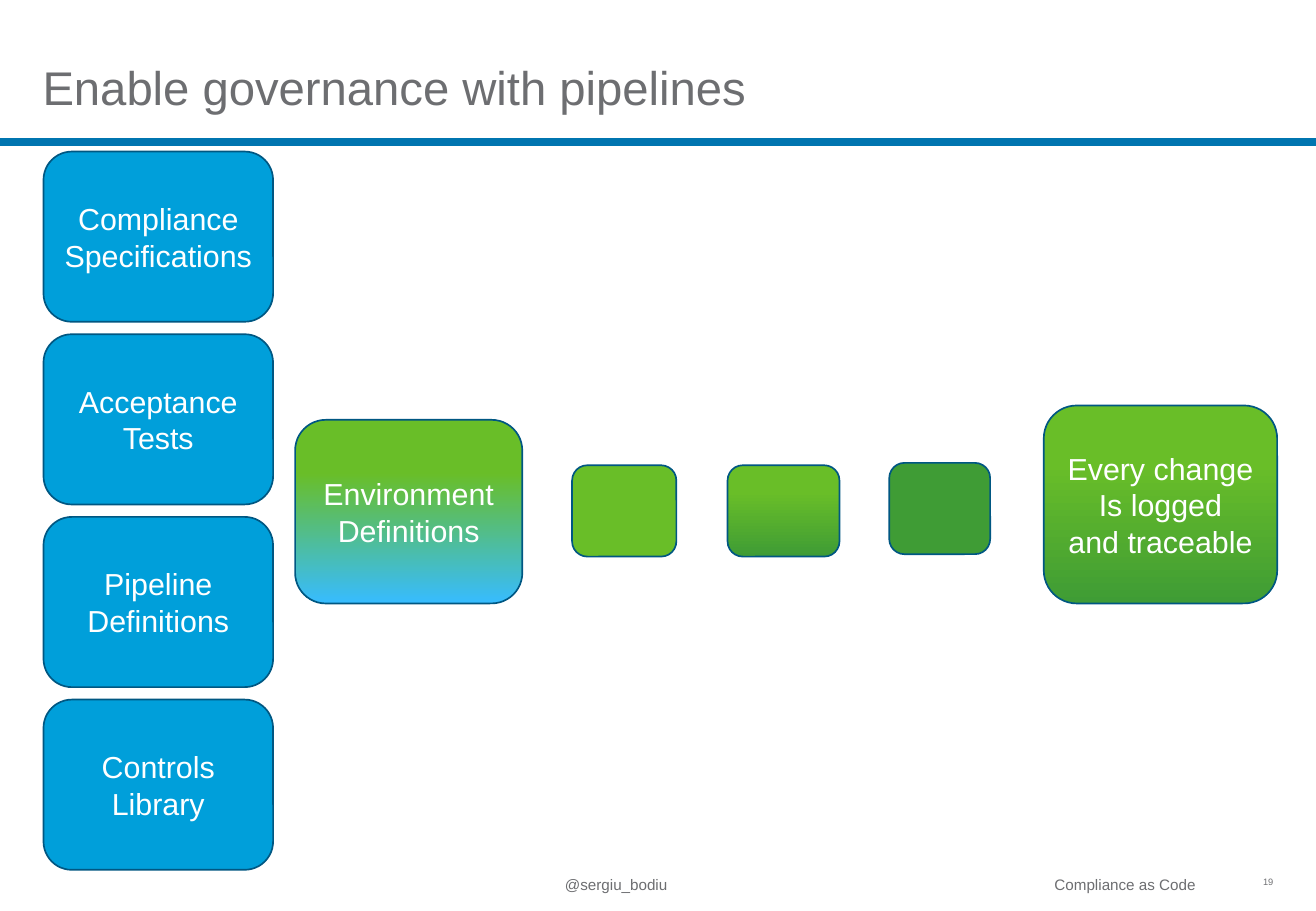
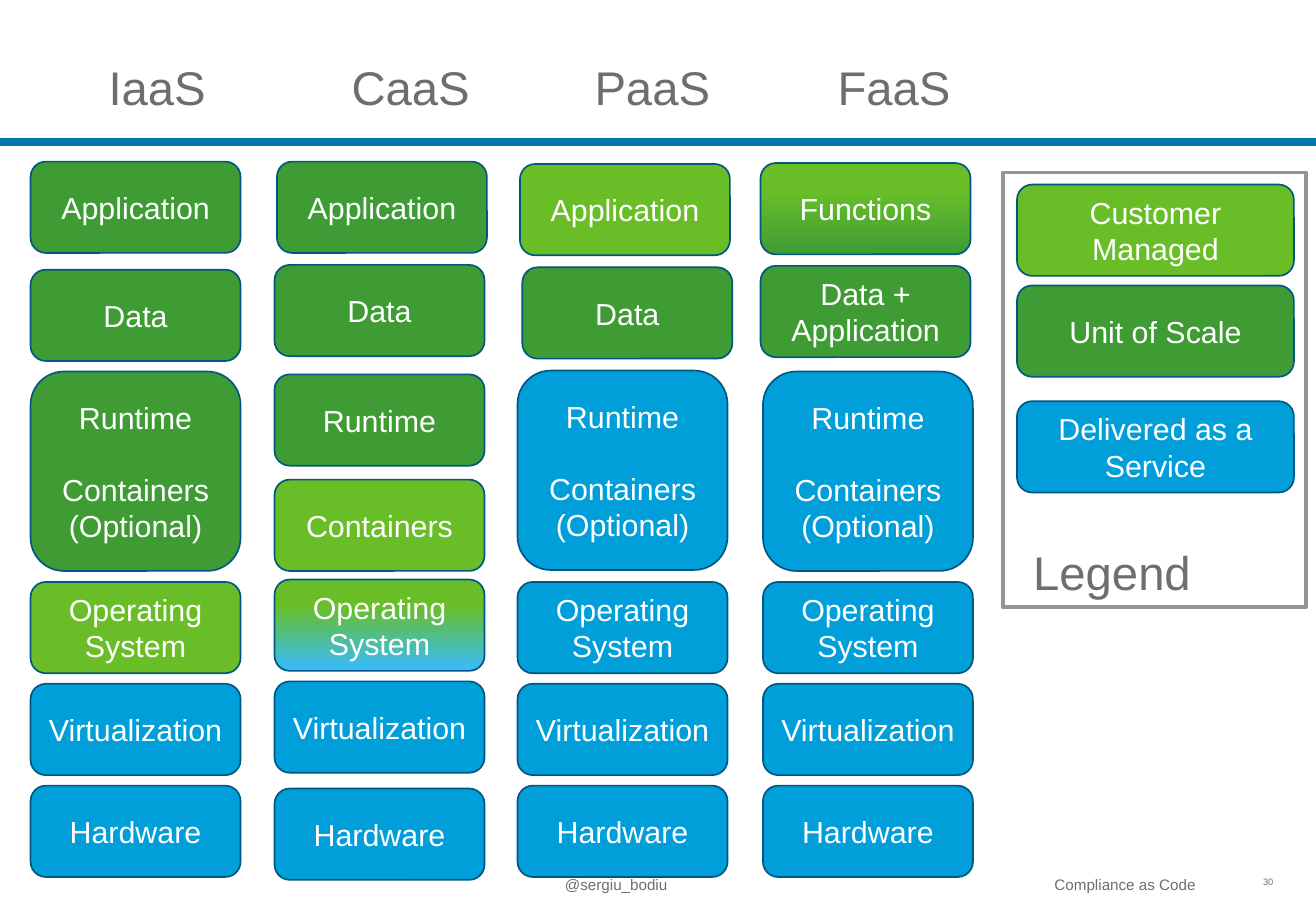
import pptx
import pptx.util
from lxml import etree
from pptx.dml.color import RGBColor
from pptx.enum.shapes import MSO_CONNECTOR, MSO_SHAPE
from pptx.enum.text import MSO_ANCHOR, PP_ALIGN
from pptx.oxml.ns import qn
from pptx.util import Cm, Pt

GREY = RGBColor(0x6D, 0x6E, 0x71)
FRAME_GREY = RGBColor(0x93, 0x95, 0x98)
RULE_BLUE = RGBColor(0x00, 0x75, 0xB0)
OUTLINE = RGBColor(0x00, 0x57, 0x82)
WHITE = RGBColor(0xFF, 0xFF, 0xFF)
BLUE = RGBColor(0x00, 0x9F, 0xDA)
SKY = RGBColor(0x37, 0xBC, 0xFF)
LIME = RGBColor(0x69, 0xBE, 0x28)
GREEN = RGBColor(0x3F, 0x9C, 0x35)
LIME_TO_SKY = (LIME, SKY)
LIME_TO_GREEN = (LIME, GREEN)

WIDTH, HEIGHT = 27.51, 19.05
BLOCK_WIDTH, BLOCK_HEIGHT, RUNTIME_HEIGHT = 4.39, 1.91, 4.17
TITLE_BOX = (0.89, 0.46, 25.73, 1.96)
HEADING_STEP = 5.08

BLOCK_FONT = {"name": "Arial", "size": Pt(18), "color": WHITE}
TITLE_FONT = {"name": "Arial", "size": Pt(28), "color": GREY}
FOOTER_FONT = {"name": "Arial", "size": Pt(9), "color": GREY}
NUMBER_FONT = {**FOOTER_FONT, "size": Pt(5.5)}
TITLE_PARAGRAPH = {"line_spacing": 0.9}
NO_MARGINS = {"margin_left": 0, "margin_top": 0, "margin_right": 0, "margin_bottom": 0}

RUNTIME_LABEL = "Runtime\nContainers (Optional)"
LOWER_BLUE = [
    ("Operating System", BLUE, 0, 8.79),
    ("Virtualization", BLUE, 0, 10.92),
    ("Hardware", BLUE, 0, 13.05),
]
# Each column: heading, left, blocks of (label, fill, shift right, top in the column)
STACKS = [
    ("IaaS", 0.64, [
        ("Application", GREEN, 0, 0),
        ("Data", GREEN, 0, 2.26),
        (RUNTIME_LABEL, GREEN, 0, 4.39),
        ("Operating System", LIME, 0, 8.79),
        *LOWER_BLUE[1:],
    ]),
    ("CaaS", 5.74, [
        ("Application", GREEN, 0.05, 0),
        ("Data", GREEN, 0, 2.16),
        ("Runtime", GREEN, 0, 4.45),
        ("Containers", LIME, 0, 6.65),
        ("Operating System", LIME_TO_SKY, 0, 8.74),
        ("Virtualization", BLUE, 0, 10.87),
        ("Hardware", BLUE, 0, 13.11),
    ]),
    ("PaaS", 10.82, [
        ("Application", LIME, 0.05, 0.05),
        ("Data", GREEN, 0.1, 2.21),
        (RUNTIME_LABEL, BLUE, 0, 4.37),
        *LOWER_BLUE,
    ]),
    ("FaaS", 15.95, [
        ("Functions", LIME_TO_GREEN, -0.05, 0.03),
        ("Data + Application", GREEN, -0.05, 2.18),
        (RUNTIME_LABEL, BLUE, 0, 4.39),
        *LOWER_BLUE,
    ]),
]


def set_attributes(target, values):
    for name, value in values.items():
        setattr(target, name, value)


def write(shape, text, font, paragraph_format, space_before=0):
    """Fill a shape with one paragraph per line of text."""
    frame = shape.text_frame
    frame.text = text
    for index, paragraph in enumerate(frame.paragraphs):
        set_attributes(paragraph, paragraph_format)
        if index and space_before:
            paragraph.space_before = Pt(space_before)
        for run in paragraph.runs:
            set_attributes(run.font, {"name": font["name"], "size": font["size"]})
            run.font.color.rgb = font["color"]


def add_label(shapes, box, text, font, anchor, paragraph_format):
    label = shapes.add_textbox(*map(Cm, box))
    set_attributes(label.text_frame,
                   {**NO_MARGINS, "word_wrap": True, "vertical_anchor": anchor})
    write(label, text, font, paragraph_format)
    return label


def add_title(shapes, box, text):
    return add_label(shapes, box, text, TITLE_FONT, MSO_ANCHOR.BOTTOM, TITLE_PARAGRAPH)


def paint(shape, fill):
    """Fill with one colour, or from top to bottom with a pair of colours."""
    if isinstance(fill, RGBColor):
        shape.fill.solid()
        shape.fill.fore_color.rgb = fill
        return
    shape.fill.gradient()
    shape.fill.gradient_angle = 270
    for stop, color, position in zip(shape.fill.gradient_stops, fill, (0.29, 1)):
        stop.color.rgb = color
        stop.position = position


def add_block(shapes, box, fill, text="", space_before=0):
    block = shapes.add_shape(MSO_SHAPE.ROUNDED_RECTANGLE, *map(Cm, box))
    block.shadow.inherit = False
    paint(block, fill)
    block.line.color.rgb = OUTLINE
    block.line.width = Pt(1)
    set_attributes(block.text_frame,
                   {"word_wrap": True, "vertical_anchor": MSO_ANCHOR.MIDDLE})
    if text:
        write(block, text, BLOCK_FONT, {"alignment": PP_ALIGN.CENTER}, space_before)


def add_base_slide(presentation, number):
    """Add a blank slide with the rule under the title and the footer."""
    slide = presentation.slides.add_slide(presentation.slide_layouts[6])
    rule = slide.shapes.add_connector(
        MSO_CONNECTOR.STRAIGHT, 0, Cm(2.97), Cm(WIDTH), Cm(2.97))
    rule.line.color.rgb = RULE_BLUE
    rule.line.width = Pt(4.5)
    etree.SubElement(rule._element.spPr, qn("a:effectLst"))
    footers = [
        ((25.63, 18.01, 0.99, 0.84), number, NUMBER_FONT, PP_ALIGN.RIGHT),
        ((15.72, 18.14, 9.27, 0.71), "Compliance as Code", FOOTER_FONT, PP_ALIGN.RIGHT),
        ((11.81, 18.14, 3.66, 0.71), "@sergiu_bodiu", FOOTER_FONT, PP_ALIGN.LEFT),
    ]
    for box, text, font, alignment in footers:
        add_label(slide.shapes, box, text, font, MSO_ANCHOR.MIDDLE,
                  {"alignment": alignment})
    return slide


def add_inputs(shapes, left, top, width, height):
    labels = ["Compliance Specifications", "Acceptance\nTests",
              "Pipeline Definitions", "Controls Library"]
    step = 3.82
    block_height = height - step * (len(labels) - 1)
    for index, label in enumerate(labels):
        add_block(shapes, (left, top + index * step, width, block_height), BLUE, label)


def add_pipeline(shapes, left, top):
    stages = [
        ((0, 0.3, 4.75, 3.84), LIME_TO_SKY, "Environment\nDefinitions"),
        ((5.79, 1.25, 2.18, 1.91), LIME, ""),
        ((9.04, 1.25, 2.34, 1.91), LIME_TO_GREEN, ""),
        ((12.42, 1.2, 2.11, 1.91), GREEN, ""),
        ((15.65, 0, 4.88, 4.14), LIME_TO_GREEN, "Every change\nIs logged\vand traceable"),
    ]
    for (x, y, width, height), fill, text in stages:
        add_block(shapes, (left + x, top + y, width, height), fill, text)


def add_headings(shapes, headings):
    """Write the column headings as one title line with a tab stop per column."""
    left, top, width, height = TITLE_BOX
    indent = 1.38
    title = add_title(shapes, (left + indent, top, width - indent, height),
                      "\t".join(headings))
    properties = title.text_frame.paragraphs[0]._p.get_or_add_pPr()
    tabs = etree.SubElement(properties, qn("a:tabLst"))
    for index in range(1, len(headings)):
        etree.SubElement(tabs, qn("a:tab"),
                         pos=str(Cm(index * HEADING_STEP)), algn="l")


def add_stack(shapes, left, top, blocks):
    for label, fill, shift, offset in blocks:
        height = RUNTIME_HEIGHT if label == RUNTIME_LABEL else BLOCK_HEIGHT
        add_block(shapes, (left + shift, top + offset, BLOCK_WIDTH, height),
                  fill, label, space_before=21)


def add_legend(slide, left, top, width, height):
    shapes = slide.shapes.add_group_shape().shapes
    entries = [("Customer Managed", LIME, 0.25), ("Unit of Scale", GREEN, 2.36),
               ("Delivered as a Service", BLUE, 4.78)]
    for label, fill, offset in entries:
        add_block(shapes, (left + 0.3, top + offset, width - 0.56, BLOCK_HEIGHT),
                  fill, label)
    add_title(shapes, (left + 0.64, top + 6.99, 5.03, 1.96), "Legend")
    frame = shapes.add_shape(MSO_SHAPE.RECTANGLE, *map(Cm, (left, top, width, height)))
    frame.shadow.inherit = False
    frame.fill.background()
    frame.line.color.rgb = FRAME_GREY
    frame.line.width = Pt(2.25)


def build_pipeline_slide(presentation):
    slide = add_base_slide(presentation, "19")
    add_title(slide.shapes, TITLE_BOX, "Enable governance with pipelines")
    add_inputs(slide.shapes, 0.91, 3.17, 4.8, 15.02)
    add_pipeline(slide.shapes, 6.17, 8.48)


def build_service_slide(presentation):
    slide = add_base_slide(presentation, "30")
    add_headings(slide.shapes, [heading for heading, _, _ in STACKS])
    for _, left, blocks in STACKS:
        add_stack(slide.shapes, left, 3.38, blocks)
    add_legend(slide, 20.96, 3.61, 6.35, 9.09)


def main():
    presentation = pptx.Presentation()
    presentation.slide_width = Cm(WIDTH)
    presentation.slide_height = Cm(HEIGHT)
    build_pipeline_slide(presentation)
    build_service_slide(presentation)
    presentation.save("out.pptx")


if __name__ == "__main__":
    main()
